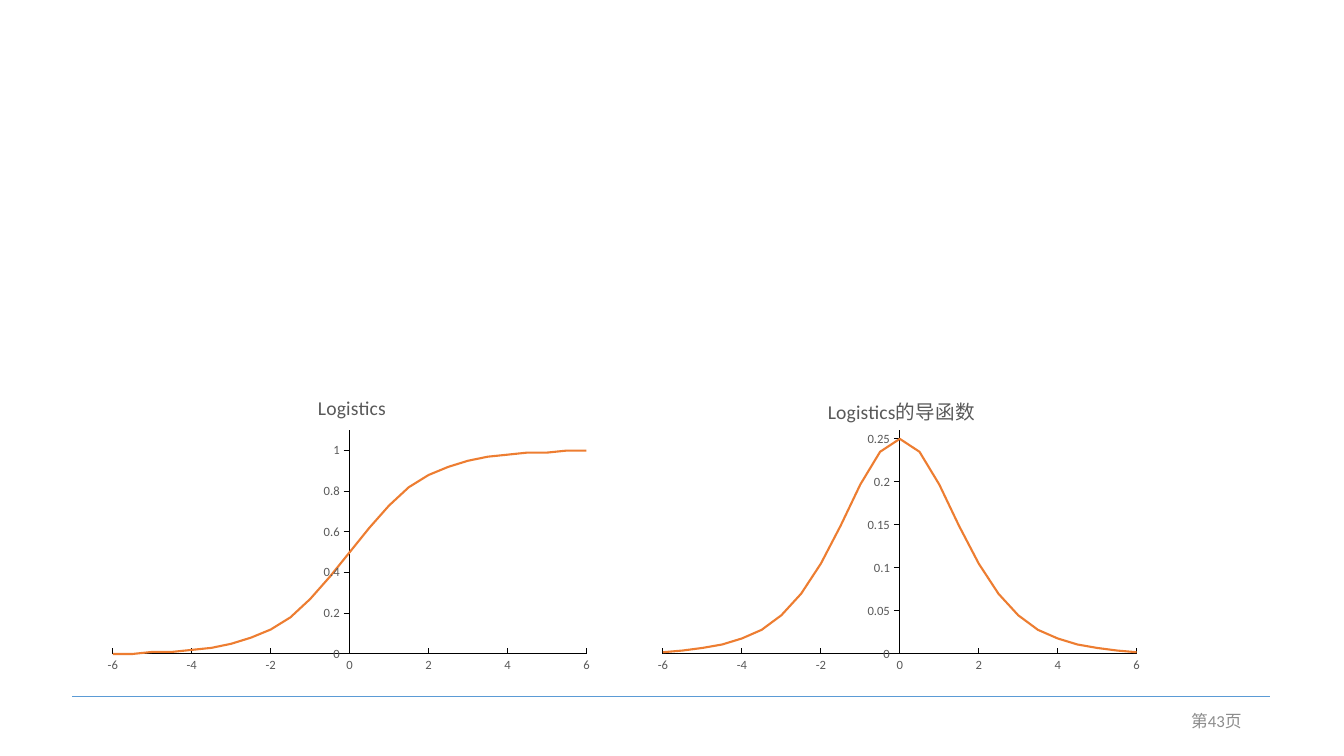
from math import exp

from lxml import etree
from pptx import Presentation
from pptx import util as u
from pptx.chart.data import XyChartData
from pptx.dml.color import RGBColor
from pptx.enum import chart as charts
from pptx.enum import shapes, text
from pptx.oxml import parse_xml
from pptx.oxml.ns import nsdecls, qn


def px(n):
    return u.Emu(n * 9525)


def colour(value):
    return RGBColor.from_string(value)


class Slide:
    """Draws styled elements on one slide, measured in px."""

    FONT, GREY, BLACK, ORANGE = "Calibri", "595959", "000000", "ED7D31"

    def __init__(self, slide):
        self.shapes = slide.shapes

    def style_font(self, font, size, fill):
        for name, value in {"name": self.FONT, "size": u.Pt(size), "bold": False}.items():
            setattr(font, name, value)
        font.color.rgb = colour(fill)

    def style_line(self, line, width, fill):
        line.width = u.Pt(width)
        line.color.rgb = colour(fill)

    def rule(self, x1, y1, x2, y2, fill):
        rule = self.shapes.add_connector(
            shapes.MSO_CONNECTOR.STRAIGHT, *map(px, (x1, y1, x2, y2)))
        self.style_line(rule.line, 0.5, fill)
        etree.SubElement(rule._element.spPr, qn("a:effectLst"))

    def label(self, box, wording, size, fill):
        frame = self.shapes.add_textbox(*map(px, box)).text_frame
        frame.word_wrap = True
        frame.vertical_anchor = text.MSO_ANCHOR.MIDDLE
        line = frame.paragraphs[0]
        line.alignment = text.PP_ALIGN.RIGHT
        run = line.add_run()
        run.text = wording
        self.style_font(run.font, size, fill)

    def layout(self, **places):
        modes = "".join(f'<c:{k}Mode val="edge"/>' for k in "xy")
        target = '<c:layoutTarget val="inner"/>' if "w" in places else ""
        values = "".join(f'<c:{k} val="{v}"/>' for k, v in places.items())
        return parse_xml(f'<c:layout {nsdecls("c")}><c:manualLayout>{target}{modes}'
                         f'{values}</c:manualLayout></c:layout>')

    def axis(self, axis, settings):
        defaults = {"has_major_gridlines": False, "has_minor_gridlines": False,
                    "minor_tick_mark": charts.XL_TICK_MARK.NONE,
                    "tick_label_position": charts.XL_TICK_LABEL_POSITION.NEXT_TO_AXIS}
        for name, value in {**defaults, **settings}.items():
            setattr(axis, name, value)
        axis.tick_labels.number_format = "General"
        axis.tick_labels.number_format_is_linked = False
        self.style_font(axis.tick_labels.font, 9, self.GREY)
        self.style_line(axis.format.line, 0.75, self.BLACK)

    def curve(self, box, title, points, top, step, title_place, plot_place):
        data = XyChartData()
        series = data.add_series("Series 1")
        for x, y in points:
            series.add_data_point(x, y)
        chart = self.shapes.add_chart(
            charts.XL_CHART_TYPE.XY_SCATTER_SMOOTH_NO_MARKERS,
            *map(px, box), data).chart
        chart.has_legend = False
        self.style_font(chart.font, 10, self.BLACK)
        chart.plots[0].vary_by_categories = False
        trace = chart.plots[0].series[0]
        trace.smooth = True
        trace.marker.style = charts.XL_MARKER_STYLE.NONE
        self.style_line(trace.format.line, 1.5, self.ORANGE)

        ticks = charts.XL_TICK_MARK
        self.axis(chart.category_axis, {
            "minimum_scale": -6, "maximum_scale": 6, "major_unit": 2,
            "major_tick_mark": ticks.INSIDE})
        self.axis(chart.value_axis, {
            "minimum_scale": 0, "maximum_scale": top, "major_unit": step,
            "major_tick_mark": ticks.OUTSIDE})

        heading = chart.chart_title.text_frame.paragraphs[0].add_run()
        heading.text = title
        self.style_font(heading.font, 14, self.GREY)
        title_xml = chart.chart_title._element
        plot_xml = chart._chartSpace.chart.plotArea
        for parent in (title_xml, plot_xml):
            for old in parent.findall(qn("c:layout")):
                parent.remove(old)
        title_xml.find(qn("c:tx")).addnext(self.layout(**title_place))
        plot_xml.insert(0, self.layout(**plot_place))


def logistic(x):
    return 1 / (1 + exp(-x))


def slope(x):
    return logistic(x) * (1 - logistic(x))


def sample(function, digits):
    return [(n / 2, round(function(n / 2), digits)) for n in range(-12, 13)]


def main():
    deck = Presentation()
    deck.slide_width, deck.slide_height = px(1280), px(720)
    page = Slide(deck.slides.add_slide(deck.slide_layouts[6]))
    page.rule(69, 663, 1210, 663, "5B9BD5")
    page.label((904, 667, 288, 38), "第43页", 12, "8C8C8C")
    page.curve((617, 358, 480, 288), "Logistics的导函数", sample(slope, 3), 0.26, 0.05,
               {"x": 0.35, "y": 0.05}, {"x": 0.03, "y": 0.18, "w": 0.94, "h": 0.74})
    page.curve((93, 358, 480, 288), "Logistics", sample(logistic, 2), 1.1, 0.2,
               {"x": 0.43, "y": 0.05}, {"x": 0.03, "y": 0.18, "w": 0.94, "h": 0.74})
    deck.save("out.pptx")


if __name__ == "__main__":
    main()
